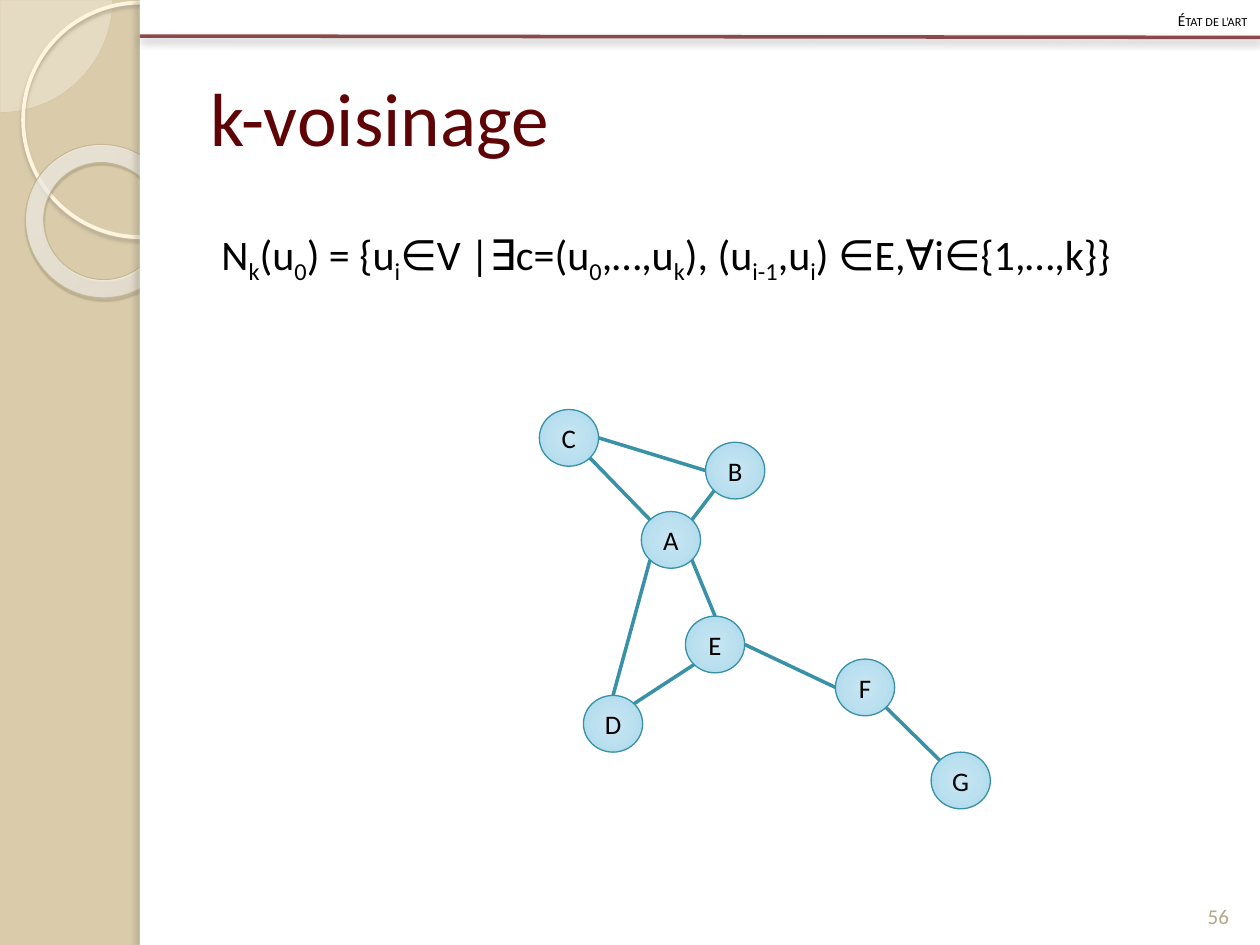
"""Build the k-voisinage slide: a formula above a small graph of seven nodes."""
import math
from typing import NamedTuple, Optional

from pptx import Presentation, oxml
from pptx.dml.color import RGBColor
from pptx.enum import shapes, text
from pptx.oxml import ns
from pptx.util import Pt

FONT = "Calibri"
BLACK, WHITE, MAROON, TEAL = "000000", "FFFFFF", "5F0406", "3891A7"
WIDTH, HEIGHT, SIDEBAR = 720, 540, 79.9
NODE_WIDTH, NODE_HEIGHT = 33.84, 32.4
RIGHT, LOWER_RIGHT, DOWN, LOWER_LEFT = 0, 45, 90, 135
LEFT, UPPER_LEFT, UP, UPPER_RIGHT = 180, 225, 270, 315


class Frame(NamedTuple):
    left: float
    top: float
    width: float
    height: float


class Shadow(NamedTuple):
    color: str
    alpha: float
    blur: float
    distance: float
    angle: float


class Stop(NamedTuple):
    position: float
    color: str
    alpha: float = 100


class Radial(NamedTuple):
    stops: list[Stop]
    focus: tuple[float, float, float, float]


class Edge(NamedTuple):
    start: str
    start_angle: float
    end: str
    end_angle: float


NODES = {
    "A": (366.5, 292.3), "B": (403.2, 252.7), "C": (308.2, 234), "D": (333.4, 397.4),
    "E": (391.7, 352.1), "F": (477.4, 376.6), "G": (532.1, 429.8),
}
EDGES = [
    Edge("C", LOWER_RIGHT, "A", UPPER_LEFT),
    Edge("A", UPPER_RIGHT, "B", LOWER_LEFT),
    Edge("A", LOWER_RIGHT, "E", UP),
    Edge("A", LOWER_LEFT, "D", UP),
    Edge("D", UPPER_RIGHT, "E", LOWER_LEFT),
    Edge("E", RIGHT, "F", LEFT),
    Edge("B", LEFT, "C", RIGHT),
    Edge("F", LOWER_RIGHT, "G", UPPER_LEFT),
]
NODE_FILL = Radial(
    [Stop(0, "C9E6F2"), Stop(50, "BBE0EF"), Stop(97, "A4D8ED"), Stop(100, "9BD7EE")],
    (50, 50, 50, 50),
)
RING_FILL = Radial(
    [Stop(0, "FFFCF6", 70), Stop(70, "FFFEFB", 55), Stop(100, "F0D28E", 60)],
    (-408, -50, 508, 150),
)
FORMULA = ["N", "k", "(u", "0", ") = {u", "i", "∈V |∃c=(u", "0", ",…,u", "k",
           "), (u", "i-1", ",u", "i", ") ∈E,∀i∈{1,…,k}}"]


def rgb(color: str) -> RGBColor:
    """Turn a hex string into a colour."""
    return RGBColor.from_string(color)


def place(shape, frame: Frame) -> None:
    """Move and size a shape in points."""
    shape.left, shape.top, shape.width, shape.height = map(Pt, frame)


def color_xml(color: str, alpha: float) -> str:
    """Write a colour element with its opacity in percent."""
    return (f'<a:srgbClr {ns.nsdecls("a")} val="{color}">'
            f'<a:alpha val="{round(alpha * 1000)}"/></a:srgbClr>')


def set_alpha(properties, alpha: float) -> None:
    """Set the opacity of the colour found in an element."""
    color = properties.find(f".//{ns.qn('a:srgbClr')}")
    color.getparent().replace(color, oxml.parse_xml(color_xml(color.get("val"), alpha)))


def set_radial(shape, radial: Radial) -> None:
    """Fill a shape with a radial gradient."""
    shape.fill.background()
    stops = "".join(f'<a:gs pos="{stop.position * 1000}">{color_xml(stop.color, stop.alpha)}</a:gs>'
                    for stop in radial.stops)
    focus = " ".join(f'{side}="{value * 1000}"' for side, value in zip("ltrb", radial.focus))
    gradient = (f'<a:gradFill {ns.nsdecls("a")} rotWithShape="1"><a:gsLst>{stops}</a:gsLst>'
                f'<a:path path="circle"><a:fillToRect {focus}/></a:path></a:gradFill>')
    properties = shape.element.spPr
    properties.replace(properties.find(ns.qn("a:noFill")), oxml.parse_xml(gradient))


def effects(shadow: Optional[Shadow]):
    """Make an effect list, empty when there is no shadow."""
    inner = ""
    if shadow:
        inner = (f'<a:outerShdw blurRad="{Pt(shadow.blur)}" dist="{Pt(shadow.distance)}" '
                 f'dir="{shadow.angle * 60000}" algn="ctr" rotWithShape="0">'
                 f'{color_xml(shadow.color, shadow.alpha)}</a:outerShdw>')
    return oxml.parse_xml(f'<a:effectLst {ns.nsdecls("a")}>{inner}</a:effectLst>')


def add_figure(page, kind, frame: Frame, fill=None, line: Optional[tuple[str, float]] = None,
               shadow: Optional[Shadow] = None):
    """Add a preset shape with its fill, outline and shadow."""
    shape = page.shapes.add_shape(kind, *map(Pt, frame))
    if isinstance(fill, Radial):
        set_radial(shape, fill)
    elif fill:
        shape.fill.solid()
        shape.fill.fore_color.rgb = rgb(fill)
    else:
        shape.fill.background()
    if line:
        shape.line.color.rgb, shape.line.width = rgb(line[0]), Pt(line[1])
    else:
        shape.line.fill.background()
    shape.shadow.inherit = False
    properties = shape.element.spPr
    properties.replace(properties.find(ns.qn("a:effectLst")), effects(shadow))
    return shape


def add_line(page, start: tuple[float, float], end: tuple[float, float], color: str,
             alpha: float = 100, shadow: Optional[Shadow] = None) -> None:
    """Add a straight line two points wide."""
    line = page.shapes.add_connector(shapes.MSO_CONNECTOR.STRAIGHT, *map(Pt, start + end))
    line.line.color.rgb, line.line.width = rgb(color), Pt(2)
    if alpha < 100:
        set_alpha(line.element.spPr, alpha)
    line.element.spPr.append(effects(shadow))


def write(box, words: list[str], size: float, color: str, align, anchor,
          spacing: float = 1, caps: bool = False):
    """Write one paragraph in which every second run is a subscript."""
    frame = box.text_frame
    frame.word_wrap, frame.vertical_anchor = True, anchor
    frame.auto_size = text.MSO_AUTO_SIZE.NONE
    para = frame.paragraphs[0]
    para.alignment, para.line_spacing = align, spacing
    for index, word in enumerate(words):
        span = para.add_run()
        span.text = word
        span.font.name, span.font.size, span.font.color.rgb = FONT, Pt(size), rgb(color)
        properties = span.font._element
        if index % 2:
            properties.set("baseline", "-25000")
        if caps:
            properties.set("cap", "small")
    return para


def rim(name: str, angle: float) -> tuple[float, float]:
    """Find the point on a node's outline at an angle, clockwise from the right."""
    left, top = NODES[name]
    turn = math.radians(angle)
    return (left + NODE_WIDTH / 2 * (1 + math.cos(turn)),
            top + NODE_HEIGHT / 2 * (1 + math.sin(turn)))


def add_decoration(page) -> None:
    """Draw the sidebar circles, the white panel and the top rule."""
    preset = shapes.MSO_SHAPE
    pie = add_figure(page, preset.PIE, Frame(-64.3, -64.3, 128.6, 128.6), "FEFAF4", ("D3C39F", 0.25))
    pie.adjustments[0], pie.adjustments[1] = 0, 54.02
    set_alpha(pie.element.spPr, 33)
    add_figure(page, preset.OVAL, Frame(13.2, 1.5, 134, 134), None, ("FFF5DE", 2.15),
               Shadow("B0A68F", 85, 2, 2, 90))
    ring = add_figure(page, preset.DONUT, Frame(14.3, 82.8, 88.6, 87.1), RING_FILL, ("C7B893", 0.58),
                      Shadow("5A5444", 35, 1, 1.2, 75))
    ring.adjustments[0], ring.rotation = 0.12, 38.6
    add_figure(page, preset.RECTANGLE, Frame(SIDEBAR, 0, WIDTH - SIDEBAR, HEIGHT), WHITE)
    add_figure(page, preset.RECTANGLE, Frame(SIDEBAR, 0, 5.8, HEIGHT), WHITE,
               shadow=Shadow("736F63", 25, 3, 3, 180))
    add_line(page, (SIDEBAR, 20.6), (WIDTH, 21.4), MAROON, 70, Shadow(BLACK, 43, 5, 2, 90))


def add_graph(page) -> None:
    """Draw the nodes and the edges between them."""
    for name, corner in NODES.items():
        node = add_figure(page, shapes.MSO_SHAPE.OVAL, Frame(*corner, NODE_WIDTH, NODE_HEIGHT),
                          NODE_FILL, (TEAL, 0.75))
        frame = node.text_frame
        frame.margin_left = frame.margin_right = frame.margin_top = frame.margin_bottom = 0
        write(node, [name], 15.3, BLACK, text.PP_ALIGN.CENTER, text.MSO_ANCHOR.MIDDLE)
    for edge in EDGES:
        add_line(page, rim(edge.start, edge.start_angle), rim(edge.end, edge.end_angle), TEAL)


def main() -> None:
    """Build and save the deck."""
    deck = Presentation()
    deck.slide_width, deck.slide_height = Pt(WIDTH), Pt(HEIGHT)
    page = deck.slides.add_slide(deck.slide_layouts[5])
    page.background.fill.solid()
    page.background.fill.fore_color.rgb = rgb("DACCAB")
    align, anchor = text.PP_ALIGN, text.MSO_ANCHOR
    add_decoration(page)

    title = page.shapes.title
    title.element.getparent().append(title.element)
    place(title, Frame(113, 21.6, 590.4, 90))
    write(title, ["k-voisinage"], 43, MAROON, align.LEFT, anchor.MIDDLE)

    formula = page.shapes.add_textbox(*map(Pt, (113, 113.8, 590.4, 378)))
    para = write(formula, FORMULA, 24, BLACK, align.LEFT, anchor.TOP, 1.4)
    para._p.get_or_add_pPr().set("marL", str(Pt(6.5)))
    number = page.shapes.add_textbox(*map(Pt, (678.2, 496.8, 36, 37.4)))
    write(number, ["56"], 12, "B6A98A", align.CENTER, anchor.BOTTOM)
    header = page.shapes.add_textbox(*map(Pt, (0, 0, WIDTH, 20.9)))
    write(header, ["État de l’art"], 8.8, BLACK, align.RIGHT, anchor.MIDDLE, 1.2, True)

    add_graph(page)
    deck.save("out.pptx")


if __name__ == "__main__":
    main()
